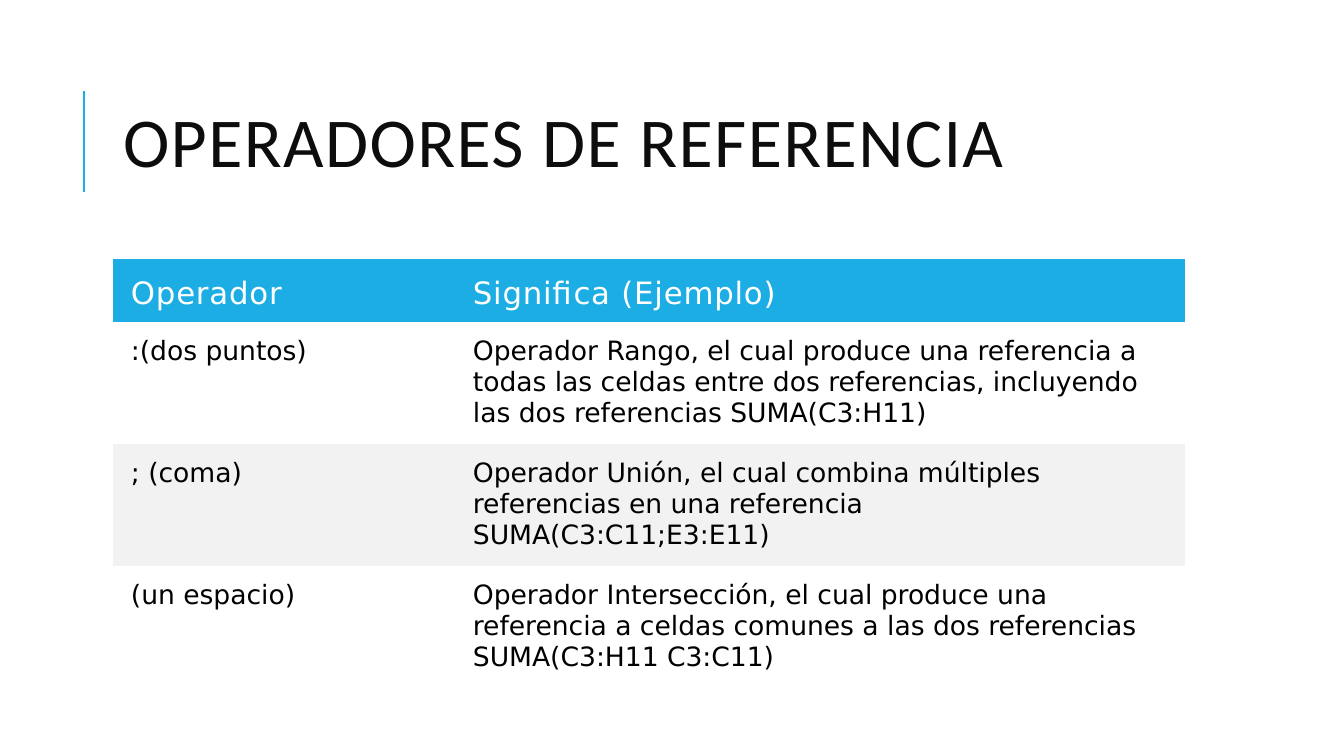
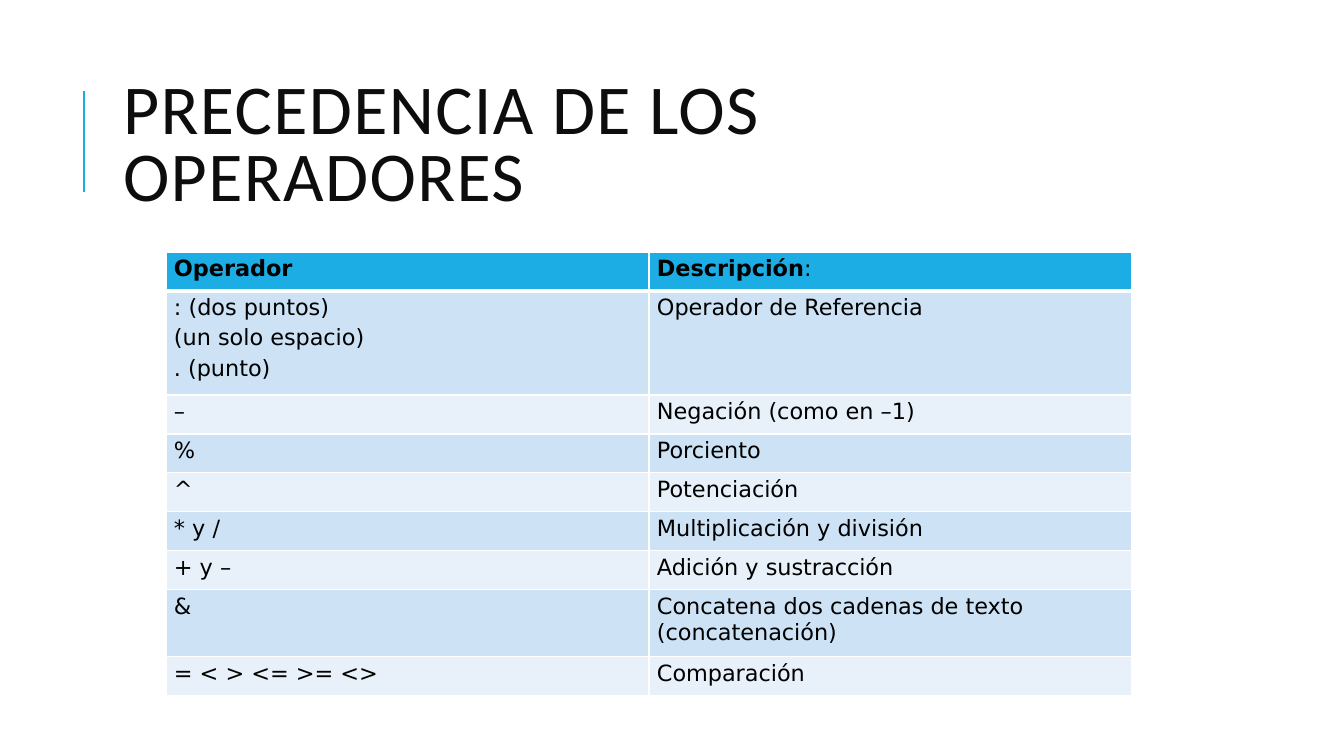
from dataclasses import dataclass
from pptx import Presentation
from pptx.dml.color import RGBColor
from pptx.enum.shapes import MSO_CONNECTOR
from pptx.enum.text import MSO_ANCHOR, MSO_AUTO_SIZE, PP_ALIGN
from pptx.oxml.ns import qn
from pptx.util import Emu, Pt
from lxml.etree import SubElement

COLORS = {
    "accent": "1CADE4",
    "title": "0D0D0D",
    "text": "000000",
    "white": "FFFFFF",
    "gray": "F2F2F2",
    "blue": "CDE3F5",
    "pale": "E8F1FA",
}
TITLE_FONT = "Calibri"
BODY_FONT = "DejaVu Sans"
EMU_PER_PIXEL = 914400 / 100.8
PLAIN_TABLE = "{2D5ABB26-0587-4C30-8999-92F81FD0307C}"


def pixels(count):
    return Emu(round(count * EMU_PER_PIXEL))


def rgb(name):
    return RGBColor.from_string(COLORS[name])


@dataclass
class TableStyle:
    margins: tuple
    bands: tuple
    body_size: int
    header_size: int
    header_color: str
    header_spacing: int = 0
    header_bold: bool = False
    header_anchor: MSO_ANCHOR = MSO_ANCHOR.TOP
    bordered: bool = False


class Deck:
    def __init__(self):
        self.presentation = Presentation()
        self.presentation.slide_width = pixels(1344)
        self.presentation.slide_height = pixels(756)
        self.slide = None

    def add_slide(self, title):
        layout = self.presentation.slide_layouts.get_by_name("Title Only")
        self.slide = self.presentation.slides.add_slide(layout)
        self.add_title(title)
        self.add_accent_line()

    def format_run(self, run, font, size, color, spacing=0, bold=False):
        run.font.name = font
        run.font.size = Pt(size)
        run.font.bold = bold
        run.font.color.rgb = rgb(color)
        run.font._element.set("spc", str(spacing))

    def add_title(self, text):
        shape = self.slide.shapes.title
        shape.left, shape.top = pixels(113), pixels(65)
        shape.width, shape.height = pixels(1072), pixels(165)
        frame = shape.text_frame
        frame.text = text
        frame.word_wrap = True
        frame.auto_size = MSO_AUTO_SIZE.NONE
        frame.vertical_anchor = MSO_ANCHOR.MIDDLE
        paragraph = frame.paragraphs[0]
        paragraph.alignment = PP_ALIGN.LEFT
        paragraph.line_spacing = 0.8
        self.format_run(paragraph.runs[0], TITLE_FONT, 50, "title", 100)

    def add_accent_line(self):
        line = self.slide.shapes.add_connector(
            MSO_CONNECTOR.STRAIGHT, pixels(84), pixels(192), pixels(84), pixels(91))
        line.line.color.rgb = rgb("accent")
        line.line.width = Pt(1.5)
        SubElement(line._element.spPr, qn("a:effectLst"))

    def add_borders(self, cell, row_index):
        properties = cell._tc.get_or_add_tcPr()
        widths = {
            "L": 1,
            "R": 1,
            "T": 3 if row_index == 1 else 1,
            "B": 3 if row_index == 0 else 1,
        }
        for side, width in widths.items():
            border = SubElement(properties, qn(f"a:ln{side}"), w=str(Pt(width)))
            fill = SubElement(border, qn("a:solidFill"))
            SubElement(fill, qn("a:srgbClr"), val=COLORS["white"])

    def fill_cell(self, cell, text, row_index, style):
        margins = [pixels(margin) for margin in style.margins]
        cell.margin_left, cell.margin_top, cell.margin_right, cell.margin_bottom = margins
        if style.bordered:
            self.add_borders(cell, row_index)
        header = row_index == 0
        color = "accent" if header else style.bands[(row_index - 1) % 2]
        if color:
            cell.fill.solid()
            cell.fill.fore_color.rgb = rgb(color)
        else:
            cell.fill.background()
        cell.vertical_anchor = style.header_anchor if header else MSO_ANCHOR.TOP
        cell.text_frame.text = text
        for paragraph in cell.text_frame.paragraphs:
            space = SubElement(paragraph._p.get_or_add_pPr(), qn("a:spcBef"))
            SubElement(space, qn("a:spcPct"), val="20000")
            for run in paragraph.runs:
                if header:
                    self.format_run(run, BODY_FONT, style.header_size, style.header_color,
                                    style.header_spacing, style.header_bold)
                else:
                    self.format_run(run, BODY_FONT, style.body_size, "text")

    def add_table(self, left, top, columns, heights, rows, style):
        table = self.slide.shapes.add_table(
            len(rows), len(columns), pixels(left), pixels(top),
            pixels(sum(columns)), pixels(sum(heights))).table
        table.horz_banding = False
        table._tbl.tblPr.find(qn("a:tableStyleId")).text = PLAIN_TABLE
        for column, width in zip(table.columns, columns):
            column.width = pixels(width)
        for row_index, (row, height, texts) in enumerate(zip(table.rows, heights, rows)):
            row.height = pixels(height)
            for cell, text in zip(row.cells, texts):
                self.fill_cell(cell, text, row_index, style)
        return table


REFERENCE_STYLE = TableStyle(
    margins=(18, 14, 18, 7), bands=(None, "gray"), body_size=19,
    header_size=22, header_color="white", header_spacing=60,
    header_anchor=MSO_ANCHOR.MIDDLE)
PRECEDENCE_STYLE = TableStyle(
    margins=(8, 4, 8, 4), bands=("blue", "pale"), body_size=16,
    header_size=16, header_color="text", header_bold=True, bordered=True)

REFERENCE_ROWS = [
    ("Operador", "Significa (Ejemplo)"),
    (":(dos puntos)",
     "Operador Rango, el cual produce una referencia a todas las celdas entre dos "
     "referencias, incluyendo las dos referencias SUMA(C3:H11)"),
    ("; (coma)",
     "Operador Unión, el cual combina múltiples referencias en una referencia "
     "SUMA(C3:C11;E3:E11)"),
    ("(un espacio)",
     "Operador Intersección, el cual produce una referencia a celdas comunes a las "
     "dos referencias SUMA(C3:H11 C3:C11)"),
]
PRECEDENCE_ROWS = [
    ("Operador", "Descripción"),
    (": (dos puntos)\n(un solo espacio)\n. (punto)", "Operador de Referencia"),
    ("–", "Negación (como en –1)"),
    ("%", "Porciento"),
    ("^", "Potenciación"),
    ("* y /", "Multiplicación y división"),
    ("+ y –", "Adición y sustracción"),
    ("&", "Concatena dos cadenas de texto (concatenación)"),
    ("= < > <= >= <>", "Comparación"),
]

deck = Deck()

deck.add_slide("OPERADORES DE REFERENCIA")
deck.add_table(113, 259, [342, 730], [63] + [122] * 3, REFERENCE_ROWS, REFERENCE_STYLE)

deck.add_slide("PRECEDENCIA DE LOS OPERADORES")
precedence_table = deck.add_table(
    166, 252, [483, 483], [39, 104] + [39] * 5 + [67, 39], PRECEDENCE_ROWS, PRECEDENCE_STYLE)
colon = precedence_table.cell(0, 1).text_frame.paragraphs[0].add_run()
colon.text = ":"
deck.format_run(colon, BODY_FONT, PRECEDENCE_STYLE.header_size, "text")

deck.presentation.save("out.pptx")
